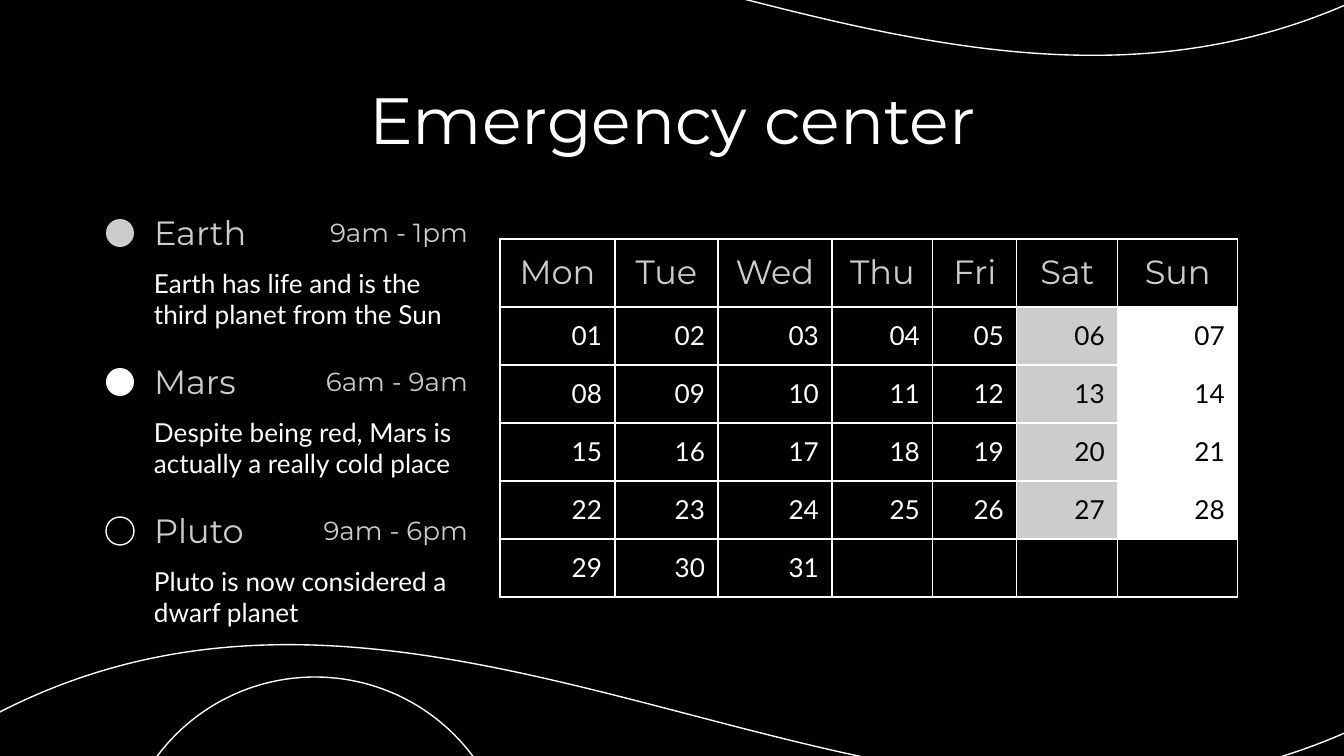
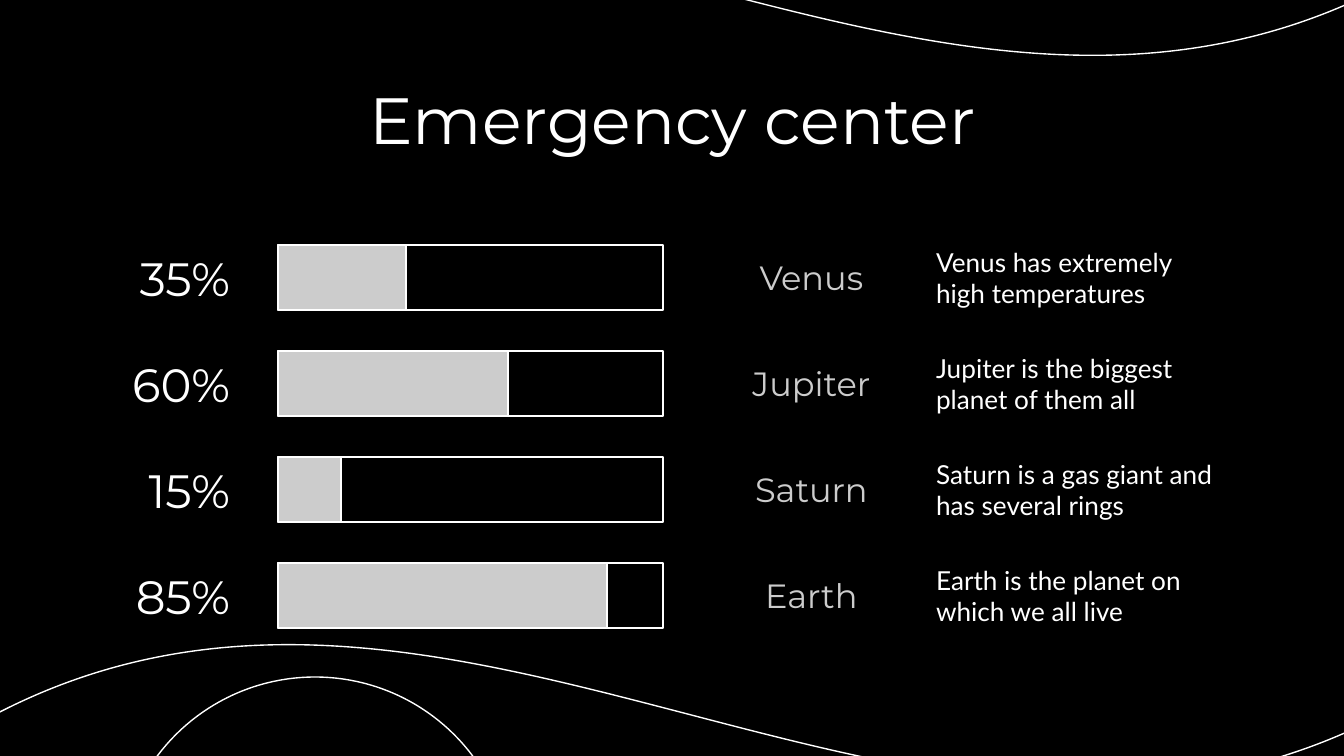
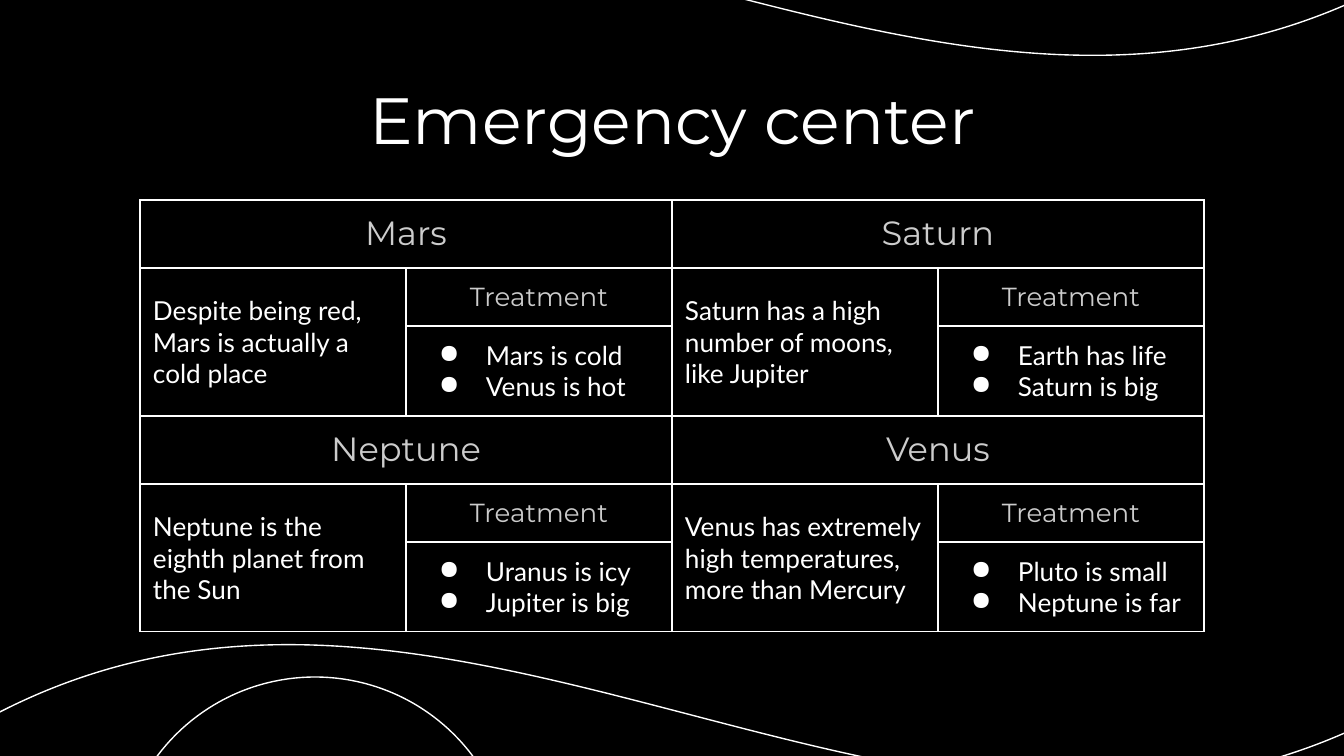
import lxml.etree
import pptx
import pptx.dml.color
import pptx.enum.shapes
import pptx.enum.text
import pptx.oxml.ns
import pptx.util

PX = 914400 / 134.4
BLACK = pptx.dml.color.RGBColor(0x00, 0x00, 0x00)
WHITE = pptx.dml.color.RGBColor(0xFF, 0xFF, 0xFF)
GREY = pptx.dml.color.RGBColor(0xCC, 0xCC, 0xCC)
HEAD, BODY = "Montserrat", "Lato"
LINE = pptx.util.Pt(0.75)
SHAPE = pptx.enum.shapes.MSO_SHAPE
ALIGN = pptx.enum.text.PP_ALIGN
ANCHOR = pptx.enum.text.MSO_ANCHOR
qn = pptx.oxml.ns.qn
sub = lxml.etree.SubElement


def write(target, text, box=None, size=14, font=BODY, color=WHITE,
          align=ALIGN.LEFT, anchor=ANCHOR.TOP, bullet=None):
    if box:
        target = target.add_textbox(*[round(v * PX) for v in box])
    tf = target.text_frame
    tf.word_wrap = True
    frame = tf if box else target
    frame.margin_left = frame.margin_right = round(13 * PX)
    frame.margin_top = frame.margin_bottom = round(13 * PX)
    frame.vertical_anchor = anchor
    for i, line in enumerate(text.split("\n")):
        p = tf.add_paragraph() if i else tf.paragraphs[0]
        p.alignment = align
        if bullet:
            pPr = p._p.get_or_add_pPr()
            pPr.set("marL", str(round(67 * PX)))
            pPr.set("indent", str(round(-47 * PX)))
            sub(sub(pPr, qn("a:buClr")), qn("a:srgbClr"), val=str(color))
            sub(pPr, qn("a:buChar"), char=bullet)
        if not line:
            sub(p._p, qn("a:endParaRPr"), sz=str(size * 100))
            continue
        r = p.add_run()
        r.text = line
        r.font.size = pptx.util.Pt(size)
        r.font.name = font
        r.font.color.rgb = color


def draw(shapes, kind, box, fill=None, line=WHITE):
    sp = shapes.add_shape(kind, *[round(v * PX) for v in box])
    sp.shadow.inherit = False
    if fill is None:
        sp.fill.background()
    else:
        sp.fill.solid()
        sp.fill.fore_color.rgb = fill
    if line is None:
        sp.line.fill.background()
    else:
        sp.line.color.rgb = line
        sp.line.width = LINE
    return sp


prs = pptx.Presentation()
prs.slide_width = round(1344 * PX)
prs.slide_height = round(756 * PX)

for _ in range(3):
    s = prs.slides.add_slide(prs.slide_layouts[6])
    s.background.fill.solid()
    s.background.fill.fore_color.rgb = BLACK
    wave = draw(s.shapes, SHAPE.WAVE, (-5, -87, 1391, 874), BLACK)
    wave.adjustments[0] = 0.083
    wave.adjustments[1] = -0.001
    wave.rotation = 180
    draw(s.shapes, SHAPE.OVAL, (118, 677, 394, 394), BLACK).rotation = 180
    write(s.shapes, "Emergency center", (106, 66, 1133, 85), size=35, font=HEAD,
          align=ALIGN.CENTER)

calendar_slide, bars_slide, treatment_slide = prs.slides

tables = []
for s, x, y, widths, heights in (
    (calendar_slide, 500, 239, [115, 103, 114, 101, 84, 101, 120], [68] + [58] * 5),
    (treatment_slide, 140, 200, [266] * 4, [68, 58, 90] * 2),
):
    box = (x, y, sum(widths), sum(heights))
    table = s.shapes.add_table(len(heights), len(widths), *[round(v * PX) for v in box]).table
    table.first_row = table.horz_banding = False
    for col, w in zip(table.columns, widths):
        col.width = round(w * PX)
    for row, h in zip(table.rows, heights):
        row.height = round(h * PX)
    for cell in table.iter_cells():
        cell.fill.background()
        tcPr = cell._tc.get_or_add_tcPr()
        for i, side in enumerate(("lnL", "lnR", "lnT", "lnB")):
            ln = lxml.etree.Element(qn("a:" + side), w=str(LINE))
            sub(sub(ln, qn("a:solidFill")), qn("a:srgbClr"), val=str(WHITE))
            tcPr.insert(i, ln)
    tables.append(table)
calendar, treatments = tables

WEEKEND = {5: GREY, 6: WHITE}
for c, day in enumerate(("Mon", "Tue", "Wed", "Thu", "Fri", "Sat", "Sun")):
    write(calendar.cell(0, c), day, size=18, font=HEAD, color=GREY, align=ALIGN.CENTER)
    for week in range(5):
        date = week * 7 + c + 1
        cell = calendar.cell(week + 1, c)
        shaded = c in WEEKEND and date <= 28
        if shaded:
            cell.fill.solid()
            cell.fill.fore_color.rgb = WEEKEND[c]
        write(cell, f"{date:02d}" if date <= 31 else "",
              color=BLACK if shaded else WHITE, align=ALIGN.RIGHT)

SHIFTS = (
    ("Earth", "9am - 1pm", "Earth has life and is the third planet from the Sun", GREY, None),
    ("Mars", "6am - 9am", "Despite being red, Mars is actually a really cold place", WHITE, None),
    ("Pluto", "9am - 6pm", "Pluto is now considered a dwarf planet", BLACK, WHITE),
)
for i, (planet, hours, note, fill, line) in enumerate(SHIFTS):
    y = 200 + 149 * i
    shapes = calendar_slide.shapes.add_group_shape().shapes
    write(shapes, note, (141, y + 54, 340, 85))
    write(shapes, planet, (141, y, 146, 65), size=18, font=HEAD, color=GREY,
          anchor=ANCHOR.BOTTOM)
    draw(shapes, SHAPE.OVAL, (106, y + 19, 28, 28), fill, line)
    write(shapes, hours, (281, y, 200, 65), font=HEAD, color=GREY, align=ALIGN.RIGHT,
          anchor=ANCHOR.MIDDLE)

BARS = (
    ("35%", 128, "Venus", "Venus has extremely high temperatures"),
    ("60%", 230, "Jupiter", "Jupiter is the biggest planet of them all"),
    ("15%", 63, "Saturn", "Saturn is a gas giant and has several rings"),
    ("85%", 329, "Earth", "Earth is the planet on which we all live"),
)
for i, (percent, width, planet, note) in enumerate(BARS):
    y = 245 + 106 * i
    shapes = bars_slide.shapes.add_group_shape().shapes
    write(shapes, percent, (106, y, 137, 65), size=25, font=HEAD, align=ALIGN.RIGHT,
          anchor=ANCHOR.MIDDLE)
    write(shapes, planet, (700, y, 223, 65), size=18, font=HEAD, color=GREY,
          align=ALIGN.CENTER, anchor=ANCHOR.MIDDLE)
    write(shapes, note, (923, y, 315, 65), anchor=ANCHOR.MIDDLE)
    draw(bars_slide.shapes, SHAPE.RECTANGLE, (278, y, 385, 65))
    draw(bars_slide.shapes, SHAPE.RECTANGLE, (278, y, width, 65), GREY)

PLANETS = (
    ("Mars", "Despite being red, Mars is actually a cold place", "Mars is cold\nVenus is hot"),
    ("Saturn", "Saturn has a high number of moons, like Jupiter",
     "Earth has life\nSaturn is big"),
    ("Neptune", "Neptune is the eighth planet from the Sun", "Uranus is icy\nJupiter is big"),
    ("Venus", "Venus has extremely high temperatures, more than Mercury",
     "Pluto is small\nNeptune is far"),
)
for i, (planet, note, items) in enumerate(PLANETS):
    r, c = i // 2 * 3, i % 2 * 2
    treatments.cell(r, c).merge(treatments.cell(r, c + 1))
    treatments.cell(r + 1, c).merge(treatments.cell(r + 2, c))
    write(treatments.cell(r, c), planet, size=18, font=HEAD, color=GREY,
          align=ALIGN.CENTER, anchor=ANCHOR.MIDDLE)
    write(treatments.cell(r + 1, c), note, anchor=ANCHOR.MIDDLE)
    write(treatments.cell(r + 1, c + 1), "Treatment", font=HEAD, color=GREY,
          align=ALIGN.CENTER, anchor=ANCHOR.MIDDLE)
    write(treatments.cell(r + 2, c + 1), items, anchor=ANCHOR.MIDDLE, bullet="●")

prs.save("out.pptx")
